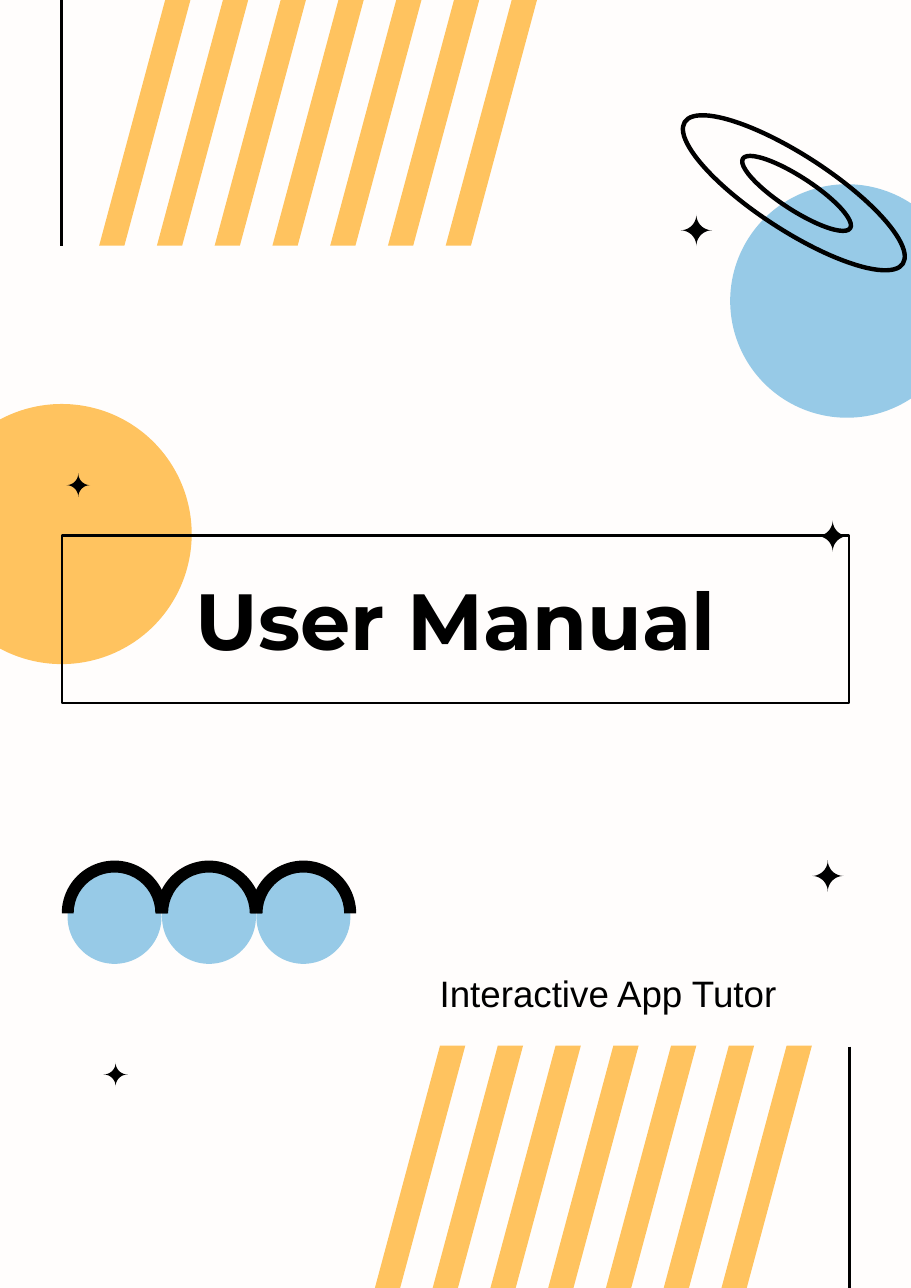
import math

import pptx
import pptx.dml.color
import pptx.enum.shapes
import pptx.enum.text
import pptx.oxml
import pptx.oxml.ns
import pptx.util

Pt = pptx.util.Pt
RGBColor = pptx.dml.color.RGBColor
SHAPE = pptx.enum.shapes.MSO_SHAPE
ALIGN = pptx.enum.text.PP_ALIGN
ANCHOR = pptx.enum.text.MSO_ANCHOR

CREAM = RGBColor(0xFF, 0xFD, 0xFC)
ORANGE = RGBColor(0xFF, 0xC3, 0x5F)
BLUE = RGBColor(0x97, 0xCA, 0xE7)
BLACK = RGBColor(0, 0, 0)

# Content: all lengths in points
WIDTH, HEIGHT = 595.4, 841.7
TITLE = "User Manual"
SUBTITLE = "Interactive App Tutor"
TITLE_BOX = (40.3, 349.9, 514.8, 109.4)
SUBTITLE_BOX = (280.1, 570.2, 275, 100.1)

DISCS = [(40.3, 349, 85, ORANGE), (553.5, 196.7, 76.3, BLUE)]  # centre x, y, radius
RINGS = [(518.8, 126, 85, 24.5), (520.6, 126.4, 41.8, 10.8)]  # centre x, y, half axes
RING_TILT = 33
STARS = [(455.1, 150.5, 10.3), (75.6, 702.2, 7.8), (51.2, 317.1, 7.8),
         (544.2, 350.3, 10.3), (541, 572.4, 10.3)]  # centre x, y, radius
STAR_STEPS = 12

SCALLOP_COUNT, SCALLOP_X, SCALLOP_PITCH = 3, 74.9, 61.7
SCALLOP_DISC = (599.2, 30.7)  # centre y, radius
SCALLOP_ARC = (596.9, 34.5)
ARC_THICKNESS = 7.8

STRIPE_BANDS = [(236.9, 683.3), (64.8, -28.1)]  # left, top of first stripe
STRIPE_COUNT, STRIPE_PITCH = 7, 37.75
STRIPE_WIDTH, STRIPE_HEIGHT, STRIPE_SLANT = 67.2, 188.6, 50.7
RULES = [(40.3, 0, 160.6), (555.1, 684, HEIGHT)]  # x, top, bottom


def paint(shape, fill=None, line=None, weight=0):
    shape.shadow.inherit = False
    if fill is None:
        shape.fill.background()
    else:
        shape.fill.solid()
        shape.fill.fore_color.rgb = fill
    if line is None:
        shape.line.fill.background()
    else:
        shape.line.color.rgb = line
        shape.line.width = Pt(weight)
    return shape


def centred(slide, kind, x, y, rx, ry, **style):
    """Add a preset shape around a centre point."""
    shape = slide.shapes.add_shape(kind, Pt(x - rx), Pt(y - ry), Pt(2 * rx), Pt(2 * ry))
    return paint(shape, **style)


def add_star(slide, x, y, radius):
    """Add a four-pointed star whose sides are quarter circles curving inward."""
    points = []
    for sx, sy, flip in ((-1, -1, 0), (-1, 1, 1), (1, 1, 0), (1, -1, 1)):
        for step in range(STAR_STEPS):
            t = step / STAR_STEPS
            angle = math.pi / 2 * (1 - t if flip else t)
            points.append((x + sx * radius * (1 - math.cos(angle)),
                           y + sy * radius * (1 - math.sin(angle))))
    points = [(Pt(px), Pt(py)) for px, py in points]
    builder = slide.shapes.build_freeform(*points[0])
    builder.add_line_segments(points[1:], close=True)
    paint(builder.convert_to_shape(), fill=BLACK)


def add_stripes(slide, left, top):
    for i in range(STRIPE_COUNT):
        stripe = slide.shapes.add_shape(
            SHAPE.PARALLELOGRAM, Pt(left + i * STRIPE_PITCH), Pt(top),
            Pt(STRIPE_WIDTH), Pt(STRIPE_HEIGHT))
        stripe.adjustments[0] = STRIPE_SLANT / STRIPE_WIDTH
        paint(stripe, fill=ORANGE)


def add_scallops(slide):
    centres = [SCALLOP_X + i * SCALLOP_PITCH for i in range(SCALLOP_COUNT)]
    y, radius = SCALLOP_DISC
    for x in centres:
        centred(slide, SHAPE.OVAL, x, y, radius, radius, fill=BLUE)
    y, radius = SCALLOP_ARC
    for x in centres:
        arc = centred(slide, SHAPE.BLOCK_ARC, x, y, radius, radius, fill=BLACK)
        arc.adjustments[2] = ARC_THICKNESS / (2 * radius)


def add_rule(slide, x, top, bottom):
    rule = slide.shapes.add_connector(
        pptx.enum.shapes.MSO_CONNECTOR.STRAIGHT, Pt(x), Pt(top), Pt(x), Pt(bottom))
    rule.line.color.rgb = BLACK
    rule.line.width = Pt(2.25)
    properties = rule._element.spPr
    properties.append(pptx.oxml.parse_xml(
        f'<a:effectLst {pptx.oxml.ns.nsdecls("a")}/>'))


def write(holder, text, *, box, font, size, bold=False, align=ALIGN.LEFT,
          anchor=ANCHOR.MIDDLE):
    holder.left, holder.top, holder.width, holder.height = map(Pt, box)
    frame = holder.text_frame
    frame.word_wrap = True
    frame.auto_size = pptx.enum.text.MSO_AUTO_SIZE.NONE
    frame.vertical_anchor = anchor
    frame.margin_left = frame.margin_right = Pt(7.2)
    frame.margin_top = frame.margin_bottom = Pt(7.2)
    paragraph = frame.paragraphs[0]
    paragraph.alignment = align
    paragraph.space_before = Pt(0)
    run = paragraph.add_run()
    run.text = text
    run.font.name = font
    run.font.size = Pt(size)
    run.font.bold = bold
    run.font.color.rgb = BLACK


def main():
    deck = pptx.Presentation()
    deck.slide_width, deck.slide_height = Pt(WIDTH), Pt(HEIGHT)
    cover = deck.slides.add_slide(deck.slide_layouts[0])
    cover.background.fill.solid()
    cover.background.fill.fore_color.rgb = CREAM
    title, subtitle = cover.shapes.title, cover.placeholders[1]

    for x, y, radius, color in DISCS:
        centred(cover, SHAPE.OVAL, x, y, radius, radius, fill=color)
    for x, y, rx, ry in RINGS:
        ring = centred(cover, SHAPE.OVAL, x, y, rx, ry, line=BLACK, weight=2.9)
        ring.rotation = RING_TILT
    add_scallops(cover)
    for band in STRIPE_BANDS:
        add_stripes(cover, *band)
    for rule in RULES:
        add_rule(cover, *rule)
    for star in STARS:
        add_star(cover, *star)

    write(title, TITLE, box=TITLE_BOX, font="Montserrat", size=52, bold=True,
          align=ALIGN.CENTER)
    title.line.color.rgb = BLACK
    title.line.width = Pt(1.5)
    write(subtitle, SUBTITLE, box=SUBTITLE_BOX, font="Arial", size=24,
          anchor=ANCHOR.BOTTOM)
    for holder in (title, subtitle):  # bring the text in front of the artwork
        cover.shapes._spTree.append(holder._element)

    deck.save("out.pptx")


if __name__ == "__main__":
    main()
